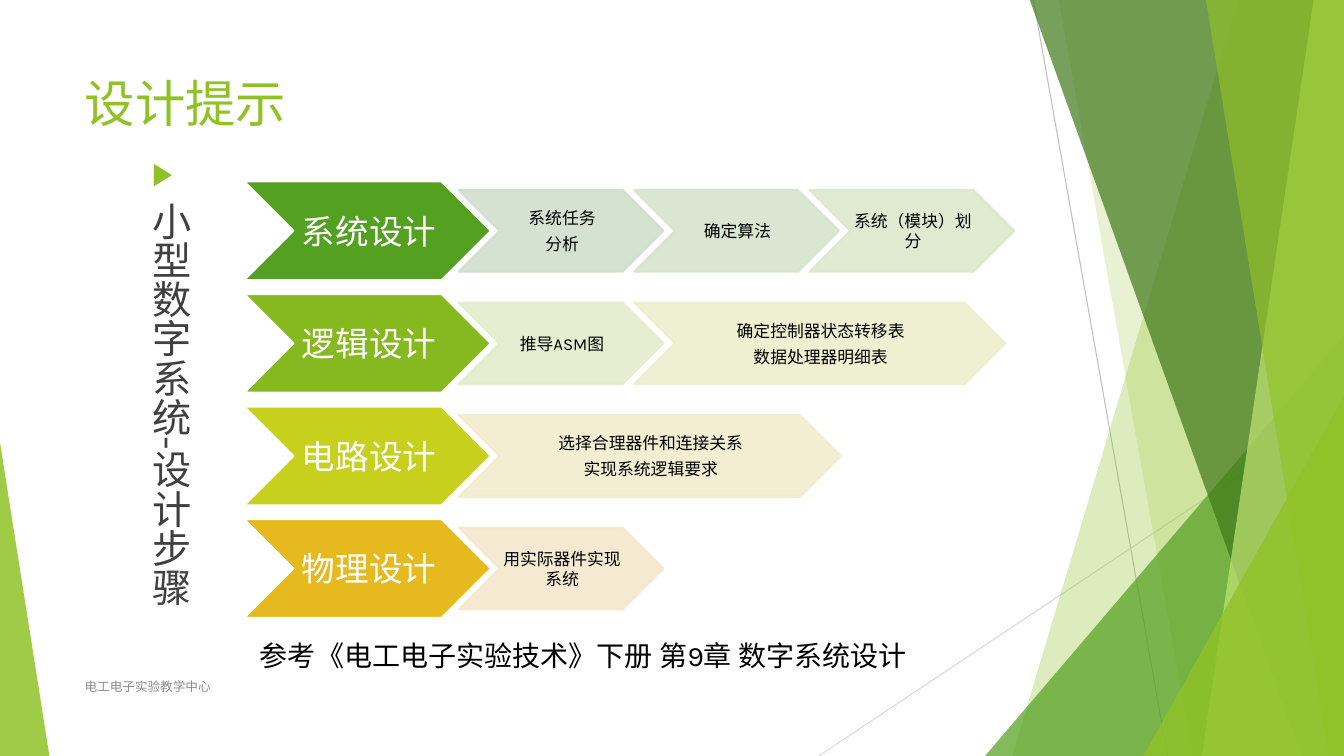
import pptx
import pptx.dml.color
import pptx.enum.shapes
import pptx.enum.text
import pptx.oxml
import pptx.oxml.ns
import pptx.util
from dataclasses import dataclass
from lxml import etree

Inches = pptx.util.Inches
Pt = pptx.util.Pt
Shape = pptx.enum.shapes.MSO_SHAPE
Anchor = pptx.enum.text.MSO_ANCHOR
Align = pptx.enum.text.PP_ALIGN
qn = pptx.oxml.ns.qn


@dataclass(frozen=True)
class Theme:
    font: str = "Karla"
    body_font: str = "Noto Sans CJK SC"
    accent: str = "90C226"
    green: str = "54A021"
    dark_green: str = "3F7819"
    pale_green: str = "C0E474"
    white: str = "FFFFFF"
    black: str = "000000"
    body_gray: str = "404040"
    footer_gray: str = "8C8C8C"
    steep_line: str = "BFBFBF"
    shallow_line: str = "D9D9D9"
    title_size: int = 36
    body_size: int = 28
    stage_size: int = 24
    note_size: int = 20
    step_size: int = 12
    footer_size: int = 9


THEME = Theme()
WIDTH, HEIGHT = 13.33, 7.5
STAGE_LEFT, STAGE_TOP, STAGE_WIDTH, STAGE_HEIGHT = 2.42, 1.8, 2.45, 0.98
ROW_PITCH = 3.35 / 3
STEP_LEFT, STEP_WIDTH, STEP_HEIGHT, STEP_OVERLAP = 4.55, 2.03, 0.81, 0.29

# Stage name, stage colour, steps as (paragraphs, width, colour)
STAGES = [
    ("系统设计", "54A021", [(["系统任务", "分析"], STEP_WIDTH, "D1DFCD"),
                        (["确定算法"], STEP_WIDTH, "D6E4CC"),
                        (["系统（模块）划分"], STEP_WIDTH, "DCE8CC")]),
    ("逻辑设计", "86B820", [(["推导ASM图"], STEP_WIDTH, "E5ECCB"),
                        (["确定控制器状态转移表", "数据处理器明细表"], 3.68, "EEEFCC")]),
    ("电路设计", "C7D01D", [(["选择合理器件和连接关系", "实现系统逻辑要求"], 3.79, "F2ECCC")]),
    ("物理设计", "E6B91E", [(["用实际器件实现系统"], STEP_WIDTH, "F5E7CD")]),
]

# Colour, opacity, x at the top edge, x at the bottom edge
BACK_FACETS = [(THEME.accent, 30, 12.28, 10.04), (THEME.accent, 20, 10.5, 11.83)]
FRONT_FACETS = [(THEME.dark_green, 70, 10.21, 12.91), (THEME.pale_green, 70, 13.03, 11.92),
                (THEME.accent, 65, 11.96, 13.18)]


def rgb(color):
    return pptx.dml.color.RGBColor.from_string(color)


def paint(fill, color, opacity=100):
    fill.solid()
    fill.fore_color.rgb = rgb(color)
    if opacity < 100:
        for node in fill._xPr.iter(qn("a:solidFill")):
            if node.getparent() is fill._xPr:
                etree.SubElement(node[0], qn("a:alpha"), val=str(opacity * 1000))


def write(shape, lines, size, color, font=THEME.font, insets=(0.1, 0.05, 0.1, 0.05),
          frame_format=None, para_format=None):
    frame = shape.text_frame
    sides = ("margin_left", "margin_top", "margin_right", "margin_bottom")
    values = {"word_wrap": True, "auto_size": pptx.enum.text.MSO_AUTO_SIZE.NONE,
              "vertical_anchor": Anchor.TOP}
    values.update(zip(sides, map(Inches, insets)))
    values.update(frame_format or {})
    for name, value in values.items():
        setattr(frame, name, value)
    for index, line in enumerate(lines):
        para = frame.add_paragraph() if index else frame.paragraphs[0]
        for name, value in {"alignment": Align.LEFT, **(para_format or {})}.items():
            setattr(para, name, value)
        span = para.add_run()
        span.text = line
        for name, value in {"size": Pt(size), "name": font, "bold": False}.items():
            setattr(span.font, name, value)
        span.font.color.rgb = rgb(color)
        etree.SubElement(span.font._element, qn("a:ea"), typeface=font)


def place(shape, *bounds):
    for name, value in zip(("left", "top", "width", "height"), bounds):
        setattr(shape, name, Inches(value))


def add_line(page, start, end, color):
    line = page.shapes.add_connector(pptx.enum.shapes.MSO_CONNECTOR.STRAIGHT,
                                     *map(Inches, start + end))
    line.line.color.rgb = rgb(color)
    line.line.width = Pt(0.75)
    etree.SubElement(line._element.spPr, qn("a:effectLst"))


def add_facet(page, color, opacity, top_x, bottom_x):
    """Fill from a slanted edge to the right side of the slide."""
    corners = [(top_x, -0.01), (WIDTH, -0.01), (WIDTH, HEIGHT), (bottom_x, HEIGHT)]
    points = [(Inches(x), Inches(y)) for x, y in corners]
    builder = page.shapes.build_freeform(*points[0])
    builder.add_line_segments(points[1:], close=True)
    facet = builder.convert_to_shape()
    facet.shadow.inherit = False
    paint(facet.fill, color, opacity)
    facet.line.fill.background()


def add_triangle(page, bounds, tip, color, opacity):
    triangle = page.shapes.add_shape(Shape.ISOSCELES_TRIANGLE, *map(Inches, bounds))
    triangle.adjustments[0] = tip
    triangle.shadow.inherit = False
    paint(triangle.fill, color, opacity)
    triangle.line.fill.background()


def add_chevron(page, bounds, lines, size, text_color, fill, outline, opacity, insets):
    chevron = page.shapes.add_shape(Shape.CHEVRON, *map(Inches, bounds))
    chevron.shadow.inherit = False
    paint(chevron.fill, fill, opacity)
    paint(chevron.line.fill, outline, opacity)
    chevron.line.width = Pt(1.5)
    write(chevron, lines, size, text_color, insets=insets,
          frame_format={"vertical_anchor": Anchor.MIDDLE},
          para_format={"alignment": Align.CENTER, "space_after": Pt(0.35 * size)})


def add_text(page, bounds, text, size, color, anchor=Anchor.TOP):
    box = page.shapes.add_textbox(*map(Inches, bounds))
    write(box, [text], size, color, frame_format={"vertical_anchor": anchor})


def add_backdrop(page):
    add_line(page, (10.25, 0), (11.58, HEIGHT), THEME.steep_line)
    add_line(page, (WIDTH, 4.03), (8.12, HEIGHT), THEME.shallow_line)
    for facet in BACK_FACETS:
        add_facet(page, *facet)
    add_triangle(page, (9.77, 3.33, 3.56, 4.17), 1, THEME.green, 72)
    for facet in FRONT_FACETS:
        add_facet(page, *facet)
    add_triangle(page, (11.34, 3.93, 1.99, 3.57), 1, THEME.accent, 80)
    add_triangle(page, (0, 4.39, 0.49, 3.11), 0, THEME.accent, 85)


def add_stages(page):
    for row, (name, color, steps) in enumerate(STAGES):
        top = STAGE_TOP + row * ROW_PITCH
        add_chevron(page, (STAGE_LEFT, top, STAGE_WIDTH, STAGE_HEIGHT), [name],
                    THEME.stage_size, THEME.white, color, THEME.white, 100,
                    (0.03, 0.02, 0, 0.02))
        left = STEP_LEFT
        step_top = top + (STAGE_HEIGHT - STEP_HEIGHT) / 2
        for lines, width, step_color in steps:
            add_chevron(page, (left, step_top, width, STEP_HEIGHT), lines,
                        THEME.step_size, THEME.black, step_color, step_color, 90,
                        (0.02, 0.01, 0, 0.01))
            left += width - STEP_OVERLAP


def fill_title(title):
    place(title, 0.74, 0.67, 9.4, 1.44)
    write(title, ["设计提示"], THEME.title_size, THEME.accent)


def fill_body(body):
    """Set the vertical heading with its triangular bullet."""
    place(body, 1.19, 1.56, 0.84, 4.82)
    write(body, ["小型数字系统-设计步骤"], THEME.body_size, THEME.body_gray, THEME.body_font,
          para_format={"space_before": Pt(10)})
    body.text_frame._txBody.bodyPr.set("vert", "eaVert")
    props = body.text_frame.paragraphs[0]._p.get_or_add_pPr()
    props.set("marL", str(Inches(0.38)))
    props.set("indent", str(Inches(-0.38)))
    bullet_color = etree.SubElement(props, qn("a:buClr"))
    etree.SubElement(bullet_color, qn("a:srgbClr"), val=THEME.accent)
    etree.SubElement(props, qn("a:buSzPct"), val="80000")
    etree.SubElement(props, qn("a:buChar"), char="▶")


def main():
    deck = pptx.Presentation()
    deck.slide_width, deck.slide_height = Inches(WIDTH), Inches(HEIGHT)
    page = deck.slides.add_slide(deck.slide_layouts[1])
    add_backdrop(page)
    fill_title(page.shapes.title)
    fill_body(page.placeholders[1])
    add_text(page, (0.74, 6.61, 6.89, 0.4), "电工电子实验教学中心", THEME.footer_size,
             THEME.footer_gray, Anchor.MIDDLE)
    add_stages(page)
    add_text(page, (2.48, 6.29, 6.69, 0.44), "参考《电工电子实验技术》下册 第9章 数字系统设计",
             THEME.note_size, THEME.black)
    deck.save("out.pptx")


if __name__ == "__main__":
    main()
